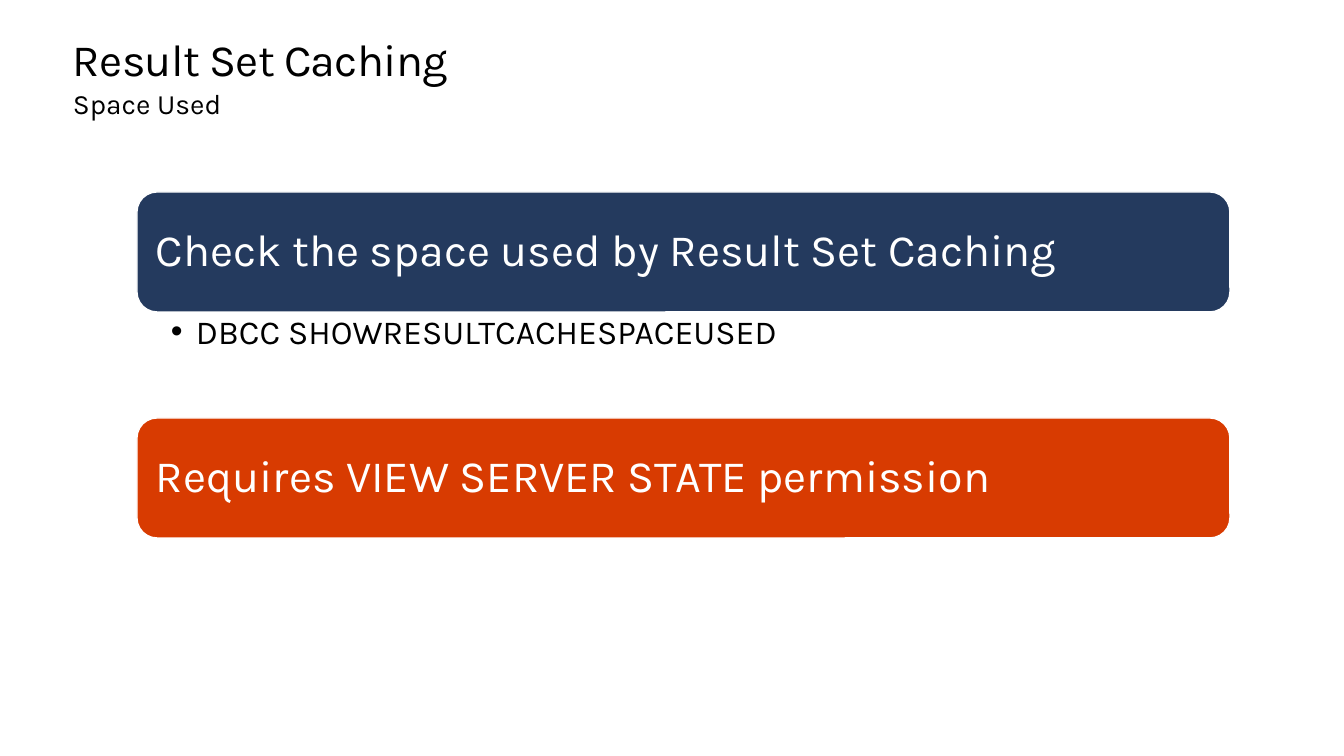
from pptx import Presentation, util as u
from pptx.dml.color import RGBColor
from pptx.enum import shapes, text
from lxml import etree

TITLE = "Result Set Caching"
SUBTITLE = "Space Used"
SECTIONS = [
    ("Check the space used by Result Set Caching", "navy", ["DBCC SHOWRESULTCACHESPACEUSED"]),
    ("Requires VIEW SERVER STATE permission", "orange", []),
]
COLORS = {"navy": "243A5E", "orange": "D83B01", "white": "FFFFFF", "black": "000000"}
FONT = "Karla"
SLIDE_SIZE = (1344, 756)
HEADING_LEFT, HEADING_WIDTH, HEADING_HEIGHT = 73, 1200, 50
TITLE_TOP, SUBTITLE_TOP = 35, 87
BANNER_LEFT, BANNER_TOP, BANNER_WIDTH, BANNER_HEIGHT = 137, 192, 1093, 120
DETAIL_HEIGHT = 106
BULLET_INDENT = 25


def px(length):
    return u.Emu(round(length * 914400 / 100.8))


def color(name):
    return RGBColor.from_string(COLORS[name])


def set_frame(frame, insets, anchor):
    frame.word_wrap = True
    frame.auto_size = text.MSO_AUTO_SIZE.NONE
    frame.vertical_anchor = anchor
    frame.margin_left, frame.margin_top, frame.margin_right, frame.margin_bottom = map(px, insets)


def format_paragraph(paragraph, size, color_name, line_spacing=None):
    paragraph.alignment = text.PP_ALIGN.LEFT
    paragraph.line_spacing = line_spacing
    for run in paragraph.runs:
        run.font.name = FONT
        run.font.size = u.Pt(size)
        run.font.color.rgb = color(color_name)


def add_bullet(paragraph):
    properties = paragraph._p.get_or_add_pPr()
    properties.set("marL", str(px(BULLET_INDENT)))
    properties.set("indent", str(-px(BULLET_INDENT)))
    namespace = properties.nsmap["a"]
    etree.SubElement(properties, f"{{{namespace}}}buFont", typeface="Arial")
    etree.SubElement(properties, f"{{{namespace}}}buChar", char="•")


def add_banner(slide, top, wording, fill):
    banner = slide.shapes.add_shape(
        shapes.MSO_SHAPE.ROUNDED_RECTANGLE,
        *map(px, (BANNER_LEFT, top, BANNER_WIDTH, BANNER_HEIGHT)))
    banner.shadow.inherit = False
    banner.fill.solid()
    banner.fill.fore_color.rgb = color(fill)
    banner.line.color.rgb = color("white")
    banner.line.width = u.Pt(1)
    set_frame(banner.text_frame, (13, 13, 13, 13), text.MSO_ANCHOR.MIDDLE)
    banner.text_frame.text = wording
    format_paragraph(banner.text_frame.paragraphs[0], 32, "white", 0.9)


def add_details(slide, top, items):
    box = slide.shapes.add_textbox(*map(px, (BANNER_LEFT, top, BANNER_WIDTH, DETAIL_HEIGHT)))
    set_frame(box.text_frame, (34, 3, 19, 3), text.MSO_ANCHOR.TOP)
    box.text_frame.text = "\n".join(items)
    for paragraph in box.text_frame.paragraphs:
        add_bullet(paragraph)
        format_paragraph(paragraph, 24, "black", 0.9)


def main():
    presentation = Presentation()
    presentation.slide_width, presentation.slide_height = map(px, SLIDE_SIZE)
    slide = presentation.slides.add_slide(presentation.slide_layouts[5])

    title = slide.shapes.title
    subtitle = slide.shapes.add_textbox(0, 0, 0, 0)
    headings = [
        (title, TITLE, TITLE_TOP, 32, u.Pt(36.2)),
        (subtitle, SUBTITLE, SUBTITLE_TOP, 20, None),
    ]
    for shape, wording, top, size, spacing in headings:
        shape.left, shape.top, shape.width, shape.height = map(
            px, (HEADING_LEFT, top, HEADING_WIDTH, HEADING_HEIGHT))
        set_frame(shape.text_frame, (0, 0, 0, 0), text.MSO_ANCHOR.TOP)
        shape.text_frame.text = wording
        format_paragraph(shape.text_frame.paragraphs[0], size, "black", spacing)
    title.text_frame.paragraphs[0].runs[0]._r.get_or_add_rPr().set("spc", "-50")

    for index, (wording, fill, items) in enumerate(SECTIONS):
        top = BANNER_TOP + index * (BANNER_HEIGHT + DETAIL_HEIGHT)
        add_banner(slide, top, wording, fill)
        if items:
            add_details(slide, top + BANNER_HEIGHT, items)

    presentation.save("out.pptx")


if __name__ == "__main__":
    main()
